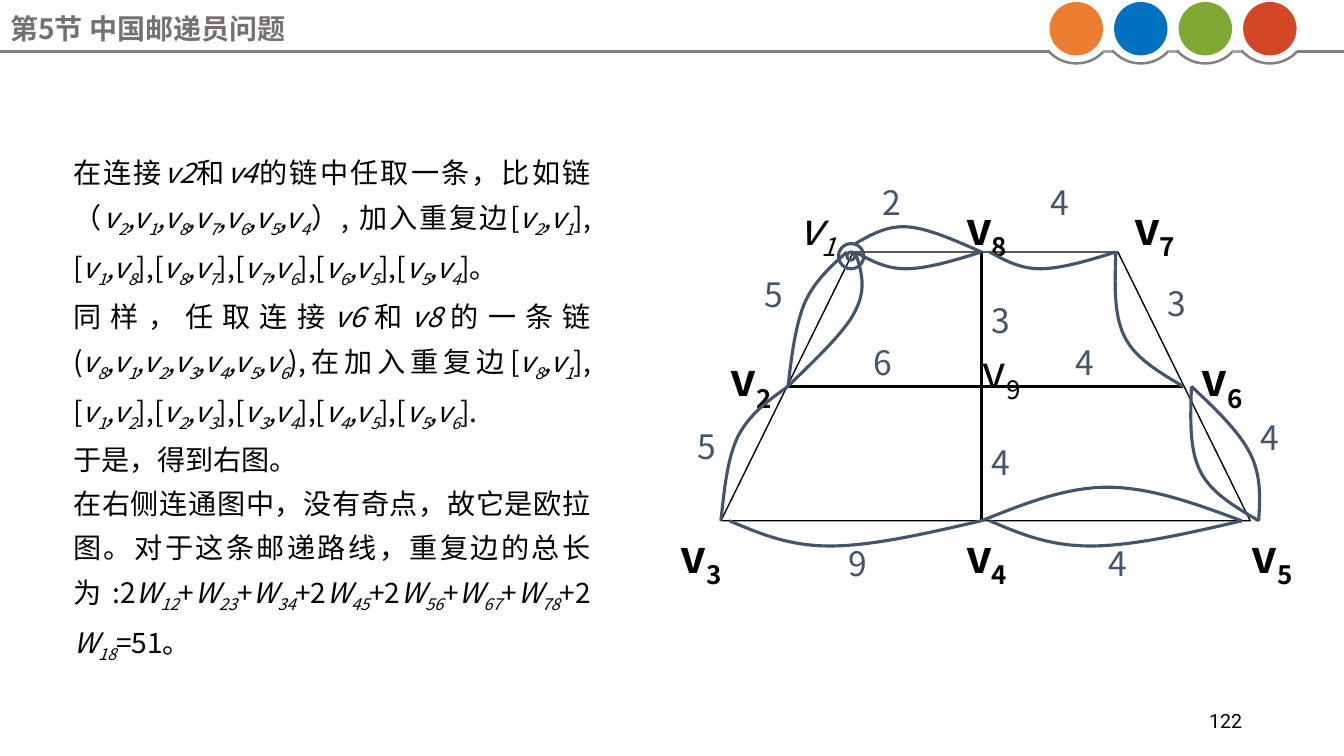
from lxml.etree import SubElement
from pptx import Presentation
from pptx.dml.color import RGBColor
from pptx.enum.shapes import MSO_CONNECTOR, MSO_SHAPE
from pptx.enum.text import MSO_ANCHOR, PP_ALIGN
from pptx.oxml.ns import qn
from pptx.util import Inches, Pt

BLACK = RGBColor(0x00, 0x00, 0x00)
SLATE = RGBColor(0x44, 0x54, 0x6A)
GRAY = RGBColor(0x80, 0x80, 0x80)
LIGHT_GRAY = RGBColor(0xA6, 0xA6, 0xA6)
TITLE_GRAY = RGBColor(0x76, 0x71, 0x71)
DOT_COLORS = [RGBColor(0xED, 0x7D, 0x31), RGBColor(0x00, 0x70, 0xC0),
              RGBColor(0x80, 0xA9, 0x33), RGBColor(0xD2, 0x47, 0x26)]
FONT = "Noto Sans CJK SC"

SLIDE_WIDTH, SLIDE_HEIGHT = 13.33, 7.5
GRID_LEFT, GRID_TOP, GRID_STEP = 7.15, 2.5, 1 / 12
RULE_TOP, DOT_LEFT, DOT_PITCH = 0.51, 10.41, 0.64
DOT_SIZE, ARC_SIZE = 0.53, 0.74

VERTICES = {"1": (8, -6), "2": (0, 12), "3": (-6, 33), "4": (28, 33), "5": (62, 33),
            "6": (56, 12), "7": (48, -6), "8": (28, -6), "9": (30, 11)}
WEIGHTS = [("2", 18, -8), ("4", 38, -8), ("5", 4, 3), ("3", 52, 4), ("3", 31, 6),
           ("6", 17, 11), ("4", 41, 11), ("5", -4, 21), ("4", 63, 20), ("4", 31, 23),
           ("9", 14, 35), ("4", 45, 35)]
DIP = [(16, 0), (17.8, 1), (19.6, 2), (22, 2), (24.5, 2), (27.8, 1), (31, 0)]
SLOPE = [(47, 0), (46.9, 3.7), (46.7, 7.3), (48, 10), (49.3, 12.7), (52.2, 14.3), (55, 16)]


def shifted(points, columns, rows):
    """Return grid points moved by columns and rows."""
    return [(column + columns, row + rows) for column, row in points]


REPEATED_EDGES = [
    DIP, shifted(DIP, 16, 0), SLOPE, shifted(SLOPE, 9, 16),
    [(16, -1), (17.8, -2), (19.6, -3.1), (22, -3), (24.5, -2.9), (27.8, -1.4), (31, 0)],
    [(15, 0), (13.1, 1.7), (11.2, 3.4), (10, 6), (8.9, 8.6), (8.4, 12.4), (8, 16)],
    [(8, 16), (5.6, 17.7), (3.4, 19.3), (2, 22), (0.7, 24.8), (0.4, 28.4), (0, 32)],
    [(16, 0), (16.7, 2.2), (17.4, 4.3), (16, 7), (14.8, 9.7), (9.4, 14.5), (8, 16)],
    [(1, 32), (4.6, 33.5), (8, 35), (13, 35), (18, 35), (24.5, 33.5), (31, 32)],
    [(32, 32), (35.5, 33.5), (39, 35), (44, 35), (49, 35), (55.6, 33.5), (62, 32)],
    [(31, 32), (36, 30), (41, 28), (46, 28), (51.2, 28), (56.6, 30), (62, 32)],
    [(56, 16), (58.9, 18.7), (61.7, 21.4), (63, 24), (64.3, 26.6), (64.2, 29.3), (64, 32)],
]


def grid(column, row):
    """Return the position in inches of a point on the graph grid."""
    return GRID_LEFT + column * GRID_STEP, GRID_TOP + row * GRID_STEP


def chain(digits):
    """Return an italic list of vertices with subscripts in markup."""
    return "*" + ",".join(f"v~{digit}~" for digit in digits) + "*"


def edges(digits):
    """Return the bracketed edges along a chain of vertices."""
    return ",".join(f"[{chain(pair)}]" for pair in zip(digits, digits[1:]))


def write_text(shape, *paragraphs, size=20, color=BLACK, bold=False, font=FONT, spacing=1.0,
               align=PP_ALIGN.LEFT, anchor=MSO_ANCHOR.TOP, wrap=True, margin=0.05):
    """Write marked-up paragraphs, with *italic* and ~subscript~, into a shape."""
    frame = shape.text_frame
    frame.word_wrap = wrap
    frame.vertical_anchor = anchor
    frame.margin_left = frame.margin_right = Inches(0.1)
    frame.margin_top = frame.margin_bottom = Inches(margin)
    for number, text in enumerate(paragraphs):
        paragraph = frame.add_paragraph() if number else frame.paragraphs[0]
        paragraph.alignment = align
        paragraph.line_spacing = spacing
        for italic, part in enumerate(text.split("*")):
            for subscript, piece in enumerate(part.split("~")):
                if not piece:
                    continue
                run = paragraph.add_run()
                run.text = piece
                run.font.size = Pt(size)
                run.font.bold = bold
                run.font.italic = italic % 2 == 1
                run.font.name = font
                run.font.color.rgb = color
                properties = run._r.get_or_add_rPr()
                SubElement(properties, qn("a:ea")).set("typeface", font)
                if subscript % 2:
                    properties.set("baseline", "-25000")


def add_text(slide, left, top, width, height, *paragraphs, **text_format):
    """Add a text box with formatted paragraphs."""
    box = slide.shapes.add_textbox(Inches(left), Inches(top), Inches(width), Inches(height))
    write_text(box, *paragraphs, **text_format)


def style_shape(shape, fill=None, line=None, width=2.25):
    """Set the fill and outline of a shape and remove its shadow."""
    shape.shadow.inherit = False
    if fill is None:
        shape.fill.background()
    else:
        shape.fill.solid()
        shape.fill.fore_color.rgb = fill
    if line is None:
        shape.line.fill.background()
    else:
        shape.line.color.rgb = line
        shape.line.width = Pt(width)


def add_round(slide, kind, left, top, size, **style):
    """Add a preset shape of equal width and height."""
    shape = slide.shapes.add_shape(kind, Inches(left), Inches(top), Inches(size), Inches(size))
    style_shape(shape, **style)
    return shape


def add_line(slide, start, end, color, width):
    """Add a straight line between two points in inches."""
    ends = [Inches(value) for value in (*start, *end)]
    line = slide.shapes.add_connector(MSO_CONNECTOR.STRAIGHT, *ends)
    line.line.color.rgb = color
    line.line.width = Pt(width)
    SubElement(line._element.spPr, qn("a:effectLst"))


def add_outline(slide, points, color, width, curved=False):
    """Add a closed polygon, or an open cubic curve, through grid points."""
    places = [tuple(Inches(value) for value in grid(*point)) for point in points]
    builder = slide.shapes.build_freeform(*places[0])
    builder.add_line_segments(places[1:], close=not curved)
    shape = builder.convert_to_shape()
    style_shape(shape, line=color, width=width)
    if curved:
        outline = next(shape._element.iter(qn("a:path")))
        segments = outline.findall(qn("a:lnTo"))
        for first in range(0, len(segments), 3):
            curve = SubElement(outline, qn("a:cubicBezTo"))
            for segment in segments[first:first + 3]:
                curve.append(segment[0])
                outline.remove(segment)


def add_header(slide):
    """Add the section title, the rule and the row of dots."""
    title = slide.shapes.title
    title.left, title.top = Inches(0), Inches(0.1)
    title.width, title.height = Inches(10.96), Inches(0.36)
    write_text(title, "第5节 中国邮递员问题", bold=True, color=TITLE_GRAY, margin=0.01)
    inset = (ARC_SIZE - DOT_SIZE) / 2
    add_line(slide, (0, RULE_TOP), (DOT_LEFT, RULE_TOP), GRAY, 1.77)
    for number, color in enumerate(DOT_COLORS):
        left = DOT_LEFT + number * DOT_PITCH
        add_round(slide, MSO_SHAPE.OVAL, left, 0.02, DOT_SIZE, fill=color)
        arc = add_round(slide, MSO_SHAPE.ARC, left - inset, -0.11, ARC_SIZE, line=GRAY, width=1.77)
        arc.adjustments[0], arc.adjustments[1] = 25.38, 83.6
        right = left + DOT_SIZE
        if number < len(DOT_COLORS) - 1:
            add_line(slide, (right, RULE_TOP), (left + DOT_PITCH, RULE_TOP), LIGHT_GRAY, 1.77)
        else:
            add_line(slide, (right, RULE_TOP), (SLIDE_WIDTH, RULE_TOP), GRAY, 1.77)


def add_graph(slide):
    """Add the street graph with its repeated edges and labels."""
    add_outline(slide, [(63, 32), (47.25, 0), (15.75, 0), (0, 32)], BLACK, 1)
    add_line(slide, grid(31, 0), grid(31, 32), BLACK, 2.25)
    add_line(slide, grid(8, 16), grid(55, 16), BLACK, 2.25)
    for digit, place in VERTICES.items():
        label = chain(digit) if digit == "1" else f"v~{digit}~"
        add_text(slide, *grid(*place), 0.65, 0.56, label, size=32, bold=digit not in "19",
                 spacing=0.8, wrap=False)
    for weight, column, row in WEIGHTS:
        add_text(slide, *grid(column, row), 0.43, 0.44, weight, size=24, color=SLATE, spacing=0.8)
    for column, row, size in [(15, 0, 0.08), (14, -1, 0.25)]:
        add_round(slide, MSO_SHAPE.OVAL, *grid(column, row), size, line=SLATE)
    for points in REPEATED_EDGES:
        add_outline(slide, points, SLATE, 2.25, curved=True)


def main():
    """Build the slide and save it."""
    presentation = Presentation()
    presentation.slide_width, presentation.slide_height = Inches(SLIDE_WIDTH), Inches(SLIDE_HEIGHT)
    slide = presentation.slides.add_slide(presentation.slide_layouts[5])
    add_header(slide)
    add_graph(slide)
    add_text(
        slide, 0.63, 1.39, 5.33, 5.34,
        f"在连接*v2*和*v4*的链中任取一条，比如链（{chain('2187654')}）, 加入重复边{edges('2187654')}。",
        f"同样，任取连接*v6*和*v8*的一条链({chain('8123456')}),在加入重复边{edges('8123456')}.",
        "于是，得到右图。",
        "在右侧连通图中，没有奇点，故它是欧拉图。对于这条邮递路线，重复边的总长为:"
        "2*W~12~*+*W~23~*+*W~34~*+2*W~45~*+2*W~56~*+*W~67~*+*W~78~*+2*W~18~*=51。",
        size=20.1, spacing=1.3, align=PP_ALIGN.JUSTIFY)
    add_text(slide, 9.42, 6.95, 3, 0.4, "122", size=14, font="Roboto",
             align=PP_ALIGN.RIGHT, anchor=MSO_ANCHOR.MIDDLE)
    presentation.save("out.pptx")


if __name__ == "__main__":
    main()
